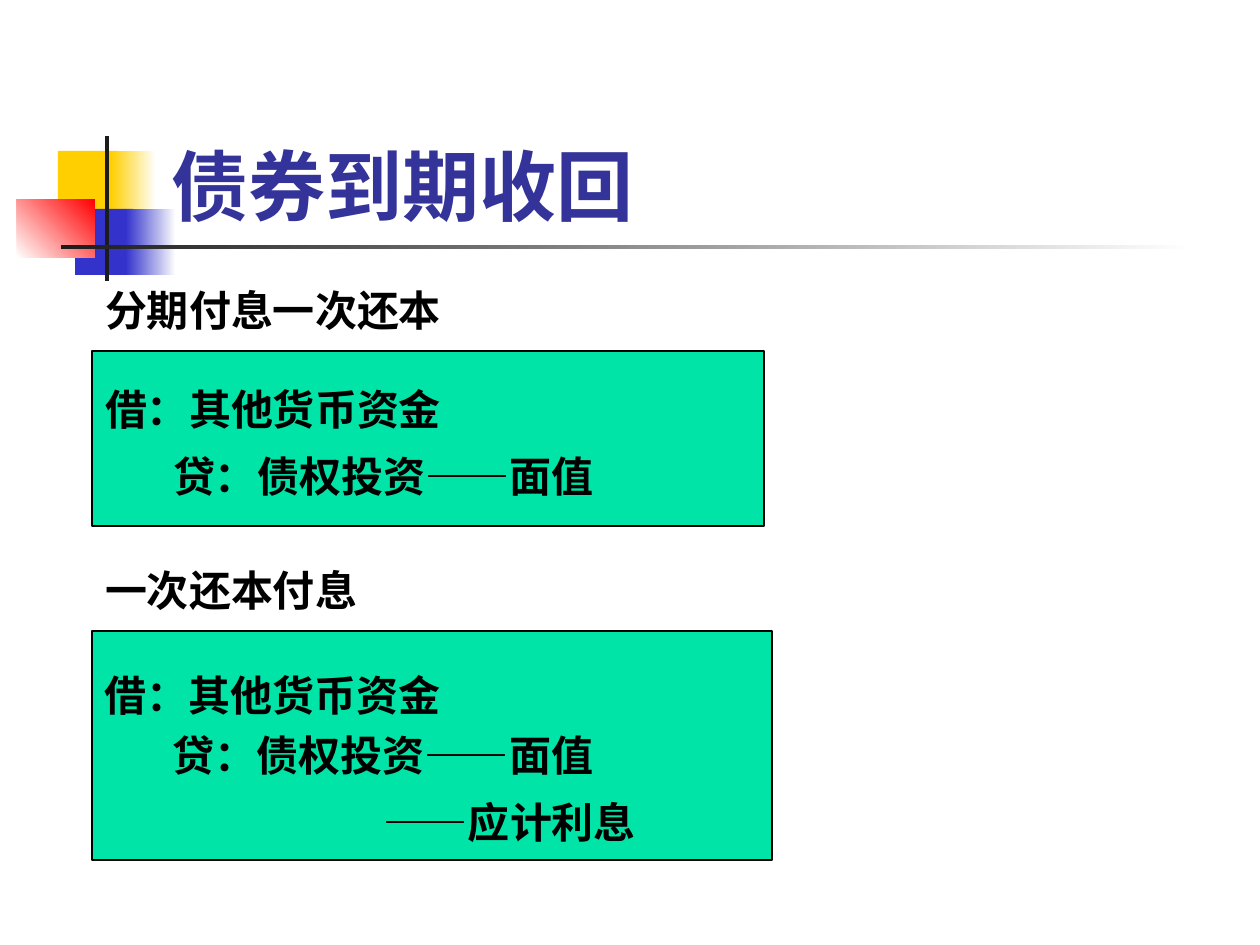
from dataclasses import dataclass

from pptx import Presentation
from pptx.dml.color import RGBColor as Rgb
from pptx.enum.shapes import MSO_SHAPE as Shape
from pptx.enum.text import MSO_ANCHOR as Anchor
from pptx.oxml.ns import qn
from pptx.util import Emu, Pt


@dataclass(frozen=True)
class Theme:
    yellow: str = "FFCF01"
    blue: str = "3333CC"
    red: str = "FF0000"
    white: str = "FFFFFF"
    dark: str = "1C1C1C"
    black: str = "000000"
    green: str = "00E4A8"
    navy: str = "333399"
    title_size: int = 44
    body_size: int = 24
    title_font: str = "Lato"
    body_font: str = "Noto Sans CJK SC"
    line_ratio: float = 1.2


THEME = Theme()
SCALE = 914400 / 126
SIDE_INSET = 13
CREDIT_INDENT = 68
INTEREST_INDENT = 279


def px(length):
    return Emu(round(length * SCALE))


def apply(target, values):
    for name, value in values.items():
        setattr(target, name, value)


def add_block(page, place, color, end_color=None, angle=0):
    block = page.shapes.add_shape(Shape.RECTANGLE, *map(px, place))
    block.shadow.inherit = False
    block.line.fill.background()
    if end_color is None:
        block.fill.solid()
        block.fill.fore_color.rgb = Rgb.from_string(color)
    else:
        block.fill.gradient()
        block.fill.gradient_angle = angle
        for stop, value in zip(block.fill.gradient_stops, (color, end_color)):
            stop.color.rgb = Rgb.from_string(value)
    return block


def write_lines(box, lines, top, size=THEME.body_size, color=THEME.black,
                font=THEME.body_font, anchor=Anchor.TOP):
    frame = box.text_frame
    apply(frame, {
        "word_wrap": True, "vertical_anchor": anchor,
        "margin_left": px(SIDE_INSET), "margin_right": px(SIDE_INSET),
        "margin_top": px(top), "margin_bottom": 0,
    })
    for index, (text, indent, gap) in enumerate(lines):
        para = frame.paragraphs[0] if index == 0 else frame.add_paragraph()
        para.line_spacing = Pt(round(size * THEME.line_ratio, 1))
        properties = para._p.get_or_add_pPr()
        properties.set("marL", str(px(indent)))
        properties.set("algn", "l")
        if gap:
            para.space_before = px(gap)
        span = para.add_run()
        span.text = text
        apply(span.font, {"name": font, "size": Pt(size), "bold": True})
        span.font.color.rgb = Rgb.from_string(color)
        east_asian = span._r.rPr.makeelement(
            qn("a:ea"), {"typeface": THEME.body_font})
        span.font._element.find(qn("a:latin")).addnext(east_asian)


def add_label(page, place, text, top, **style):
    box = page.shapes.add_textbox(*map(px, place))
    write_lines(box, [(text, 0, 0)], top, **style)


def add_entry(page, place, lines, top):
    box = add_block(page, place, THEME.green)
    box.line.color.rgb = Rgb.from_string(THEME.black)
    box.line.width = Pt(0.75)
    write_lines(box, lines, top)


def add_ornament(page):
    add_block(page, (58, 151, 60, 66), THEME.yellow)
    add_block(page, (111, 151, 45, 66), THEME.yellow, THEME.white)
    add_block(page, (75, 209, 58, 66), THEME.blue)
    add_block(page, (126, 209, 50, 66), THEME.blue, THEME.white)
    add_block(page, (17, 199, 78, 59), THEME.white, THEME.red, 45)
    add_block(page, (105, 136, 4, 145), THEME.dark)
    add_block(page, (61, 245, 1134, 4), THEME.dark, THEME.white)


def main():
    deck = Presentation()
    apply(deck, {"slide_width": px(1260), "slide_height": px(945)})
    page = deck.slides.add_slide(deck.slide_layouts[6])
    add_ornament(page)
    add_label(page, (159, 29, 1074, 202), "债券到期收回", 0,
              size=THEME.title_size, color=THEME.navy,
              font=THEME.title_font, anchor=Anchor.BOTTOM)

    debit = ("借：其他货币资金", 0, 0)
    credit = "贷：债权投资——面值"
    add_label(page, (92, 282, 1063, 54), "分期付息一次还本", 2)
    add_entry(page, (92, 351, 672, 175),
              [debit, (credit, CREDIT_INDENT, 16)], 33)
    add_label(page, (92, 554, 486, 63), "一次还本付息", 11)
    add_entry(page, (92, 631, 680, 229),
              [debit, (credit, CREDIT_INDENT, 9),
               ("——应计利息", INTEREST_INDENT, 17)], 39)
    deck.save("out.pptx")


if __name__ == "__main__":
    main()
